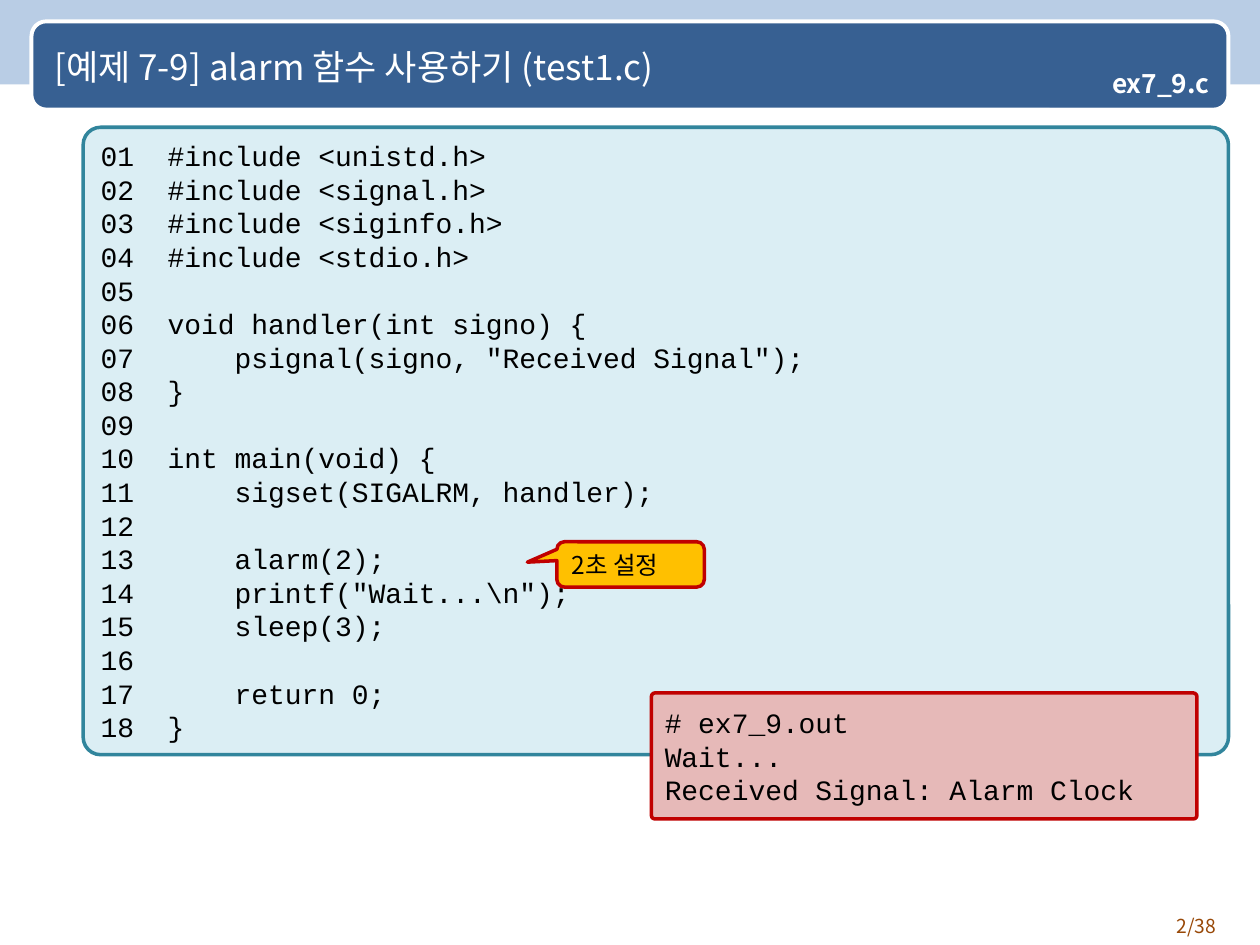
from lxml import etree
from pptx import Presentation
from pptx.dml.color import RGBColor
from pptx.enum import shapes, text
from pptx.oxml.ns import qn
from pptx.util import Inches, Pt

SANS, MONO = "Noto Sans CJK KR", "Courier New"
SHAPE, ALIGN = shapes.MSO_SHAPE, text.PP_ALIGN

deck = Presentation()
deck.slide_width, deck.slide_height = Inches(10), Inches(7.5)
page = deck.slides.add_slide(deck.slide_layouts[5])


def add_panel(kind, place, fill, line=None, width=2, adjust=()):
    panel = page.shapes.add_shape(kind, *map(Inches, place))
    panel.shadow.inherit = False
    panel.fill.solid()
    panel.fill.fore_color.rgb = RGBColor.from_string(fill)
    if line:
        panel.line.color.rgb = RGBColor.from_string(line)
        panel.line.width = Pt(width)
    else:
        panel.line.fill.background()
    for index, value in enumerate(adjust):
        panel.adjustments[index] = value
    return panel


def write(box, words, size, font, color, align=ALIGN.LEFT, bold=False,
          anchor=text.MSO_ANCHOR.MIDDLE):
    frame = box.text_frame
    frame.text = words
    frame.word_wrap = True
    frame.vertical_anchor = anchor
    for para in frame.paragraphs:
        para.alignment = align
        for span in para.runs:
            span.font.size = Pt(size)
            span.font.bold = bold
            span.font.color.rgb = RGBColor.from_string(color)
            span.font.name = font
            # Korean letters take the East Asian typeface
            etree.SubElement(span.font._element, qn("a:ea"), typeface=font)


# Header band and title
add_panel(SHAPE.RECTANGLE, (-0.01, 0, 10.02, 0.67), "B9CDE5")
add_panel(SHAPE.ROUNDED_RECTANGLE, (0.25, 0.17, 9.5, 0.7), "376092", "FFFFFF", 2.25, [0.167])
title = page.shapes.title
title.left, title.top, title.width, title.height = map(Inches, (0.33, 0.19, 9.25, 0.67))
write(title, "[예제 7-9] alarm 함수 사용하기 (test1.c)", 20, SANS, "FFFFFF")
page.shapes._spTree.append(title._element)  # in front of the band

# Page number
number = page.shapes.add_textbox(*map(Inches, (8.92, 7.21, 0.83, 0.29)))
write(number, "2/38", 11, SANS, "984807", ALIGN.RIGHT, anchor=text.MSO_ANCHOR.TOP)

# Code listing with line numbers
code = r"""#include <unistd.h>
#include <signal.h>
#include <siginfo.h>
#include <stdio.h>

void handler(int signo) {
    psignal(signo, "Received Signal");
}

int main(void) {
    sigset(SIGALRM, handler);

    alarm(2);
    printf("Wait...\n");
    sleep(3);

    return 0;
}"""
listing = "\n".join(f"{n:02}  {line}" for n, line in enumerate(code.splitlines(), 1))
code_box = add_panel(SHAPE.ROUNDED_RECTANGLE, (0.66, 1.01, 9.09, 4.98),
                     "DBEEF4", "31859C", adjust=[0.028])
write(code_box, listing, 16, MONO, "000000", ALIGN.JUSTIFY)

# Program output
output_box = add_panel(SHAPE.ROUNDED_RECTANGLE, (5.17, 5.5, 4.33, 1),
                       "E6B9B8", "C00000", adjust=[0.028])
write(output_box, "# ex7_9.out\nWait...\nReceived Signal: Alarm Clock",
      16, MONO, "000000", ALIGN.JUSTIFY)

# File name
file_box = add_panel(SHAPE.RECTANGLE, (8.33, 0.5, 1.33, 0.35), "376092")
write(file_box, "ex7_9.c", 15, SANS, "FFFFFF", ALIGN.RIGHT, bold=True)
frame = file_box.text_frame
frame.margin_left = frame.margin_right = frame.margin_top = frame.margin_bottom = Inches(0.06)
frame.paragraphs[0].line_spacing = 0.9
frame.paragraphs[0].space_after = Pt(6.5)

# Callout on the alarm line
callout = add_panel(SHAPE.ROUNDED_RECTANGULAR_CALLOUT, (4.42, 4.3, 1.17, 0.36),
                    "FFC000", "C00000", adjust=[-0.7, -0.05, 0.167])
write(callout, "2초 설정", 14, SANS, "000000")

deck.save("out.pptx")
